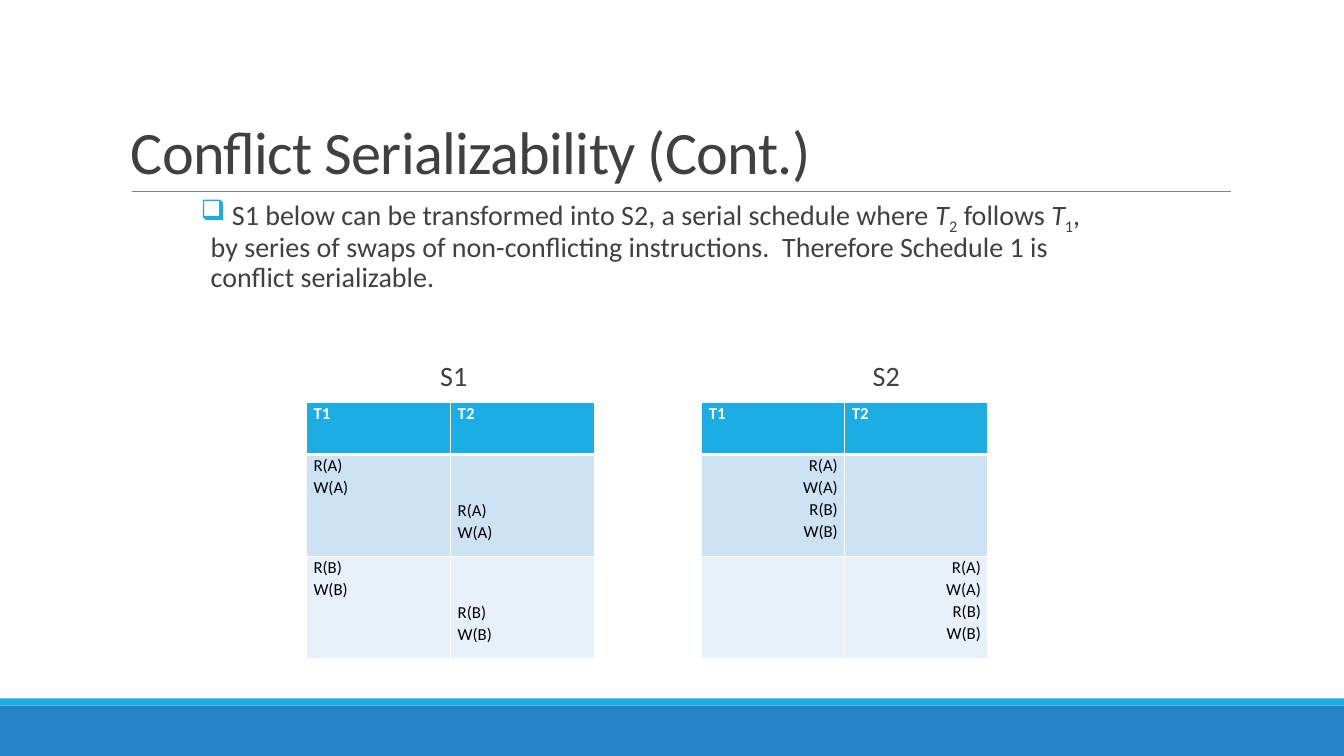
import pptx
import pptx.dml.color
import pptx.enum.shapes
import pptx.enum.text
import pptx.oxml
import pptx.oxml.ns
import pptx.util
from pptx.util import Inches

ANCHOR = pptx.enum.text.MSO_ANCHOR
ALIGN = pptx.enum.text.PP_ALIGN
DARK, CYAN, BLUE, WHITE, BLACK = "404040", "1CADE4", "2683C6", "FFFFFF", "000000"
ROW_FILLS = [CYAN, "CDE3F5", "E8F1FA"]
ROW_HEIGHTS = [0.52, 1.01, 1.01]
TABLE_TOP = 3.99
LINE_STEP = 0.22


def color(value):
    return pptx.dml.color.RGBColor.from_string(value)


def add_child(parent, tag, **attributes):
    child = pptx.oxml.ns.qn(tag)
    element = parent.makeelement(child, attributes)
    parent.append(element)
    return element


def style(paragraph, size, font_color, spacing, align=ALIGN.LEFT):
    paragraph.alignment = align
    paragraph.line_spacing = spacing
    paragraph.font.size = pptx.util.Pt(size)
    paragraph.font.name = "Calibri"
    paragraph.font.color.rgb = color(font_color)


def add_bar(slide, top, height, fill):
    shape = slide.shapes.add_shape(
        pptx.enum.shapes.MSO_SHAPE.RECTANGLE, 0, Inches(top), Inches(13.33), Inches(height))
    shape.shadow.inherit = False
    shape.fill.solid()
    shape.fill.fore_color.rgb = color(fill)
    shape.line.fill.background()


def add_rule(slide, left, right, top):
    connector = slide.shapes.add_connector(
        pptx.enum.shapes.MSO_CONNECTOR.STRAIGHT,
        Inches(left), Inches(top), Inches(right), Inches(top))
    connector.line.color.rgb = color("808080")
    connector.line.width = pptx.util.Pt(0.5)
    add_child(connector._element.spPr, "a:effectLst")


def add_text_box(slide, left, top, width, height, side_margin=0, anchor=ANCHOR.TOP):
    box = slide.shapes.add_textbox(Inches(left), Inches(top), Inches(width), Inches(height))
    frame = box.text_frame
    frame.word_wrap = True
    frame.vertical_anchor = anchor
    frame.margin_left = frame.margin_right = Inches(side_margin)
    frame.margin_top = frame.margin_bottom = Inches(0.05)
    return frame.paragraphs[0]


def add_title(slide, text):
    paragraph = add_text_box(slide, 1.2, 0.31, 11, 1.59, 0.1, ANCHOR.BOTTOM)
    run = paragraph.add_run()
    run.text = text
    run._r.get_or_add_rPr().set("spc", "-50")
    style(paragraph, 43, DARK, 0.85)


def add_bullet_text(slide, parts):
    paragraph = add_text_box(slide, 1.99, 1.92, 8.9, 1.2)
    properties = paragraph._p.get_or_add_pPr()
    properties.set("marL", str(Inches(0.1)))
    properties.set("indent", str(-Inches(0.1)))
    add_child(add_child(properties, "a:buClr"), "a:srgbClr", val=CYAN)
    add_child(properties, "a:buChar", char="❑")
    for text, kind in parts:
        run = paragraph.add_run()
        run.text = text
        if kind == "italic":
            run.font.italic = True
        elif kind == "subscript":
            run._r.get_or_add_rPr().set("baseline", "-25000")
    style(paragraph, 20, DARK, 0.9)


def add_label(slide, text, center):
    paragraph = add_text_box(slide, center - 0.5, 3.54, 1, 0.4, anchor=ANCHOR.MIDDLE)
    paragraph.text = text
    style(paragraph, 20, DARK, 0.9, ALIGN.CENTER)


def set_borders(cell, top, bottom):
    properties = cell._tc.get_or_add_tcPr()
    for side, points in (("L", 1), ("R", 1), ("T", top), ("B", bottom)):
        line = add_child(properties, f"a:ln{side}", w=str(pptx.util.Pt(points)))
        add_child(add_child(line, "a:solidFill"), "a:srgbClr", val=WHITE)


def fill_cell(cell, row, lines, skipped_lines, align):
    set_borders(cell, 3 if row == 1 else 1, 3 if row == 0 else 1)
    cell.fill.solid()
    cell.fill.fore_color.rgb = color(ROW_FILLS[row])
    cell.margin_left = cell.margin_right = Inches(0.07)
    cell.margin_top = Inches(skipped_lines * LINE_STEP)
    cell.margin_bottom = 0
    cell.text = "\n".join(lines)
    for paragraph in cell.text_frame.paragraphs:
        style(paragraph, 12, BLACK if row else WHITE, 1.07, align if row else ALIGN.LEFT)
        paragraph.font.bold = row == 0
        for run in paragraph.runs:
            run.font.bold = row == 0


def add_schedule(slide, left, column_width, body, align, skips):
    shape = slide.shapes.add_table(
        3, 2, Inches(left), Inches(TABLE_TOP), Inches(2 * column_width), Inches(sum(ROW_HEIGHTS)))
    table = shape.table
    table.horz_banding = False
    for column in table.columns:
        column.width = Inches(column_width)
    rows = [[["T1"], ["T2"]]] + body
    for row, (height, cells) in enumerate(zip(ROW_HEIGHTS, rows)):
        table.rows[row].height = Inches(height)
        for column, lines in enumerate(cells):
            fill_cell(table.cell(row, column), row, lines, skips[column] if row else 0, align)


def main():
    presentation = pptx.Presentation()
    presentation.slide_width = Inches(13.33)
    presentation.slide_height = Inches(7.5)
    slide = presentation.slides.add_slide(presentation.slide_layouts[6])

    add_bar(slide, 7, 0.5, BLUE)
    add_bar(slide, 6.93, 0.07, CYAN)
    add_rule(slide, 1.31, 12.21, 1.9)
    add_title(slide, "Conflict Serializability (Cont.)")
    add_bullet_text(slide, [
        (" S1 below can be transformed into S2, a serial schedule where ", "plain"),
        ("T", "italic"), ("2", "subscript"), (" follows ", "plain"),
        ("T", "italic"), ("1", "subscript"),
        (", by series of swaps of non-conflicting instructions.  "
         "Therefore Schedule 1 is conflict serializable.", "plain"),
    ])
    add_label(slide, "S1", 4.5)
    add_label(slide, "S2", 8.79)

    on_a, on_b = ["R(A)", "W(A)"], ["R(B)", "W(B)"]
    add_schedule(slide, 3.04, 1.43, [[on_a, on_a], [on_b, on_b]], ALIGN.LEFT, (0, 2))
    add_schedule(slide, 6.96, 1.42, [[on_a + on_b, []], [[], on_a + on_b]], ALIGN.RIGHT, (0, 0))

    presentation.save("out.pptx")


if __name__ == "__main__":
    main()
